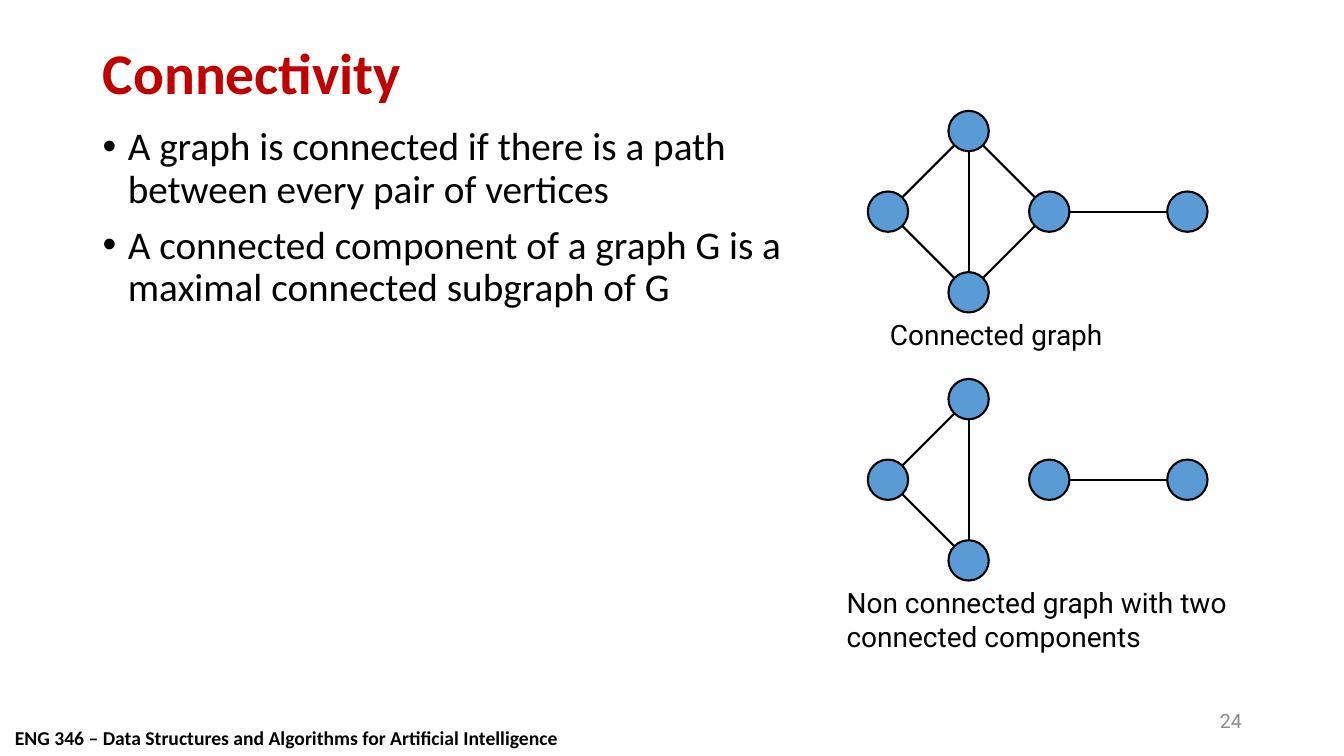
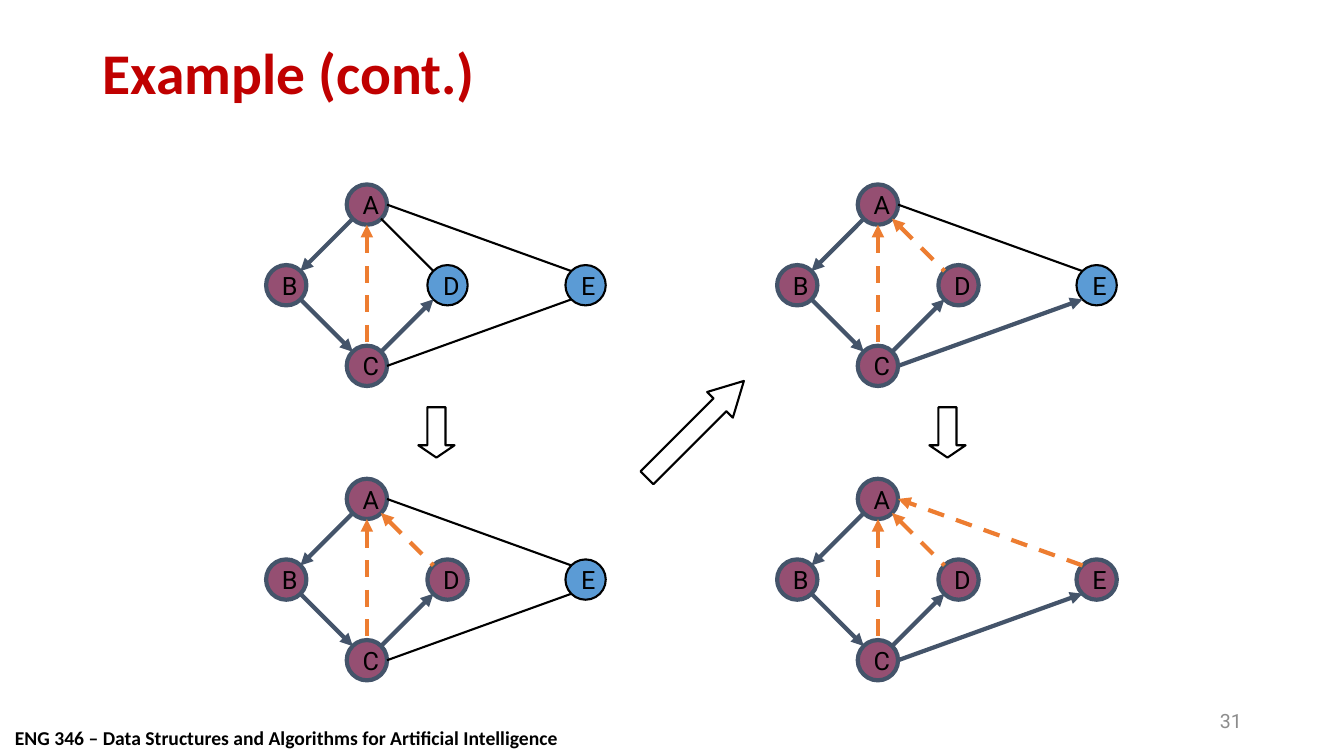
from pptx import Presentation
from pptx.dml.color import RGBColor
from pptx.enum.dml import MSO_LINE
from pptx.enum.shapes import MSO_CONNECTOR, MSO_SHAPE
from pptx.enum.text import MSO_ANCHOR, MSO_AUTO_SIZE, PP_ALIGN
from pptx.oxml.ns import qn
from pptx.util import Emu, Pt
from lxml import etree

PX = 9144
BLACK = RGBColor(0x00, 0x00, 0x00)
RED = RGBColor(0xC0, 0x00, 0x00)
GRAY = RGBColor(0x8C, 0x8C, 0x8C)
BLUE = RGBColor(0x5B, 0x9B, 0xD5)
PLUM = RGBColor(0x95, 0x4F, 0x72)
SLATE = RGBColor(0x44, 0x54, 0x6A)
ORANGE = RGBColor(0xED, 0x7D, 0x31)
HEADING_FONT = "Calibri"
LABEL_FONT = "Roboto"
FOOTER = "ENG 346 – Data Structures and Algorithms for Artificial Intelligence"

RADIUS = 20
DIAGONAL = 14
VERTICES = {"A": (0, 0), "B": (-80, 80), "C": (0, 160), "D": (80, 80), "E": (217, 80)}
SITES = {
    "N": (0, -RADIUS), "S": (0, RADIUS), "W": (-RADIUS, 0), "E": (RADIUS, 0),
    "NW": (-DIAGONAL, -DIAGONAL), "NE": (DIAGONAL, -DIAGONAL),
    "SW": (-DIAGONAL, DIAGONAL), "SE": (DIAGONAL, DIAGONAL),
}
EDGES = {
    "AB": ("SW", "NE", "tailEnd"),
    "BC": ("SE", "NW", "tailEnd"),
    "CD": ("NE", "SW", "tailEnd"),
    "AD": ("SE", "NW", "headEnd"),
    "AC": ("S", "N", "headEnd"),
    "DE": ("E", "W", "tailEnd"),
    "CE": ("E", "SW", "tailEnd"),
    "EA": ("NW", "E", "tailEnd"),
}


def write(shape, lines, size, color=BLACK, font=LABEL_FONT, bold=False,
          alignment=PP_ALIGN.LEFT, anchor=MSO_ANCHOR.TOP, wrap=True):
    frame = shape.text_frame
    frame.word_wrap = wrap
    frame.auto_size = MSO_AUTO_SIZE.NONE
    frame.vertical_anchor = anchor
    for index, line in enumerate(lines):
        paragraph = frame.add_paragraph() if index else frame.paragraphs[0]
        paragraph.alignment = alignment
        run = paragraph.add_run()
        run.text = line
        run.font.name = font
        run.font.size = Pt(size)
        run.font.bold = bold
        run.font.color.rgb = color
    return frame.paragraphs


def draw_graph(slide, x, y, edges, visited="", discovery=(), back=(), labelled=False):
    group = slide.shapes.add_group_shape()
    for name, (dx, dy) in VERTICES.items():
        vertex = group.shapes.add_shape(
            MSO_SHAPE.OVAL, (x + dx - RADIUS) * PX, (y + dy - RADIUS) * PX,
            2 * RADIUS * PX, 2 * RADIUS * PX)
        vertex.shadow.inherit = False
        vertex.fill.solid()
        vertex.fill.fore_color.rgb = PLUM if name in visited else BLUE
        vertex.line.color.rgb = SLATE if name in visited else BLACK
        vertex.line.width = Pt(3 if name in visited else 1.5)
        if labelled:
            write(vertex, [name], 18, anchor=MSO_ANCHOR.MIDDLE, wrap=False)
    for edge in edges:
        start_site, end_site, arrow_end = EDGES[edge]
        (start_x, start_y), (end_x, end_y) = [
            (x + VERTICES[name][0] + SITES[site][0], y + VERTICES[name][1] + SITES[site][1])
            for name, site in zip(edge, (start_site, end_site))]
        connector = group.shapes.add_connector(
            MSO_CONNECTOR.STRAIGHT, start_x * PX, start_y * PX, end_x * PX, end_y * PX)
        directed = edge in discovery or edge in back
        connector.line.width = Pt(3 if directed else 1.5)
        connector.line.color.rgb = ORANGE if edge in back else SLATE if directed else BLACK
        if edge in back:
            connector.line.dash_style = MSO_LINE.DASH
        properties = connector._element.spPr
        if directed:
            etree.SubElement(properties.find(qn("a:ln")), qn(f"a:{arrow_end}"), type="triangle")
        etree.SubElement(properties, qn("a:effectLst"))


presentation = Presentation()
presentation.slide_width = Emu(12192000)
presentation.slide_height = Emu(750 * PX)

slides = []
for title_text, number in (("Connectivity", "24"), ("Example (cont.)", "31")):
    slide = presentation.slides.add_slide(presentation.slide_layouts[5])
    slides.append(slide)
    footer = slide.shapes.add_textbox(5 * PX, 715 * PX, 563 * PX, 33 * PX)
    write(footer, [FOOTER], 14, font=HEADING_FONT, bold=True, wrap=False)
    title = slide.shapes.title
    title.left, title.top, title.width, title.height = 92 * PX, 40 * PX, 1150 * PX, 70 * PX
    write(title, [title_text], 41.1, RED, HEADING_FONT, True,
          anchor=MSO_ANCHOR.MIDDLE)[0].line_spacing = 0.9
    page_number = slide.shapes.add_textbox(942 * PX, 695 * PX, 300 * PX, 40 * PX)
    write(page_number, [number], 14, GRAY, alignment=PP_ALIGN.RIGHT, anchor=MSO_ANCHOR.MIDDLE)

connectivity, example = slides

body = connectivity.shapes.add_textbox(92 * PX, 121 * PX, 693 * PX, 554 * PX)
definitions = write(body, [
    "A graph is connected if there is a path between every pair of vertices",
    "A connected component of a graph G is a maximal connected subgraph of G",
], 28, font=HEADING_FONT)
for index, paragraph in enumerate(definitions):
    paragraph.line_spacing = 0.9
    paragraph.space_before = Pt(10 if index else 0)
    properties = paragraph._p.get_or_add_pPr()
    properties.set("marL", str(25 * PX))
    properties.set("indent", str(-25 * PX))
    etree.SubElement(properties, qn("a:buFont"), typeface="Arial")
    etree.SubElement(properties, qn("a:buChar"), char="•")

draw_graph(connectivity, 961, 130, ("AB", "BC", "CD", "AD", "AC", "DE"))
draw_graph(connectivity, 961, 396, ("AB", "BC", "AC", "DE"))
for text, left, top, width, height in (
    ("Connected graph", 873, 310, 312, 43),
    ("Non connected graph with two connected components", 830, 576, 398, 76),
):
    caption = connectivity.shapes.add_textbox(left * PX, top * PX, width * PX, height * PX)
    write(caption, [text], 20)

search_edges = ("AB", "BC", "CD", "AD", "AC", "CE", "EA")
for x, y, visited, discovery, back in (
    (364, 203, "ABC", ("AB", "BC", "CD"), ("AC",)),
    (364, 495, "ABCD", ("AB", "BC", "CD"), ("AC", "AD")),
    (871, 203, "ABCD", ("AB", "BC", "CD", "CE"), ("AC", "AD")),
    (871, 495, "ABCDE", ("AB", "BC", "CD", "CE"), ("AC", "AD", "EA")),
):
    draw_graph(example, x, y, search_edges, visited, discovery, back, labelled=True)

for kind, left, top, width, height, rotation, head in (
    (MSO_SHAPE.DOWN_ARROW, 415, 404, 36, 50, 0, 0.34),
    (MSO_SHAPE.RIGHT_ARROW, 622, 408, 136, 36, 315, 0.93),
    (MSO_SHAPE.DOWN_ARROW, 922, 404, 36, 50, 0, 0.34),
):
    step_arrow = example.shapes.add_shape(kind, left * PX, top * PX, width * PX, height * PX)
    step_arrow.shadow.inherit = False
    step_arrow.rotation = rotation
    step_arrow.adjustments[0] = 0.5
    step_arrow.adjustments[1] = head
    step_arrow.fill.background()
    step_arrow.line.color.rgb = BLACK
    step_arrow.line.width = Pt(1.5)

presentation.save("out.pptx")
